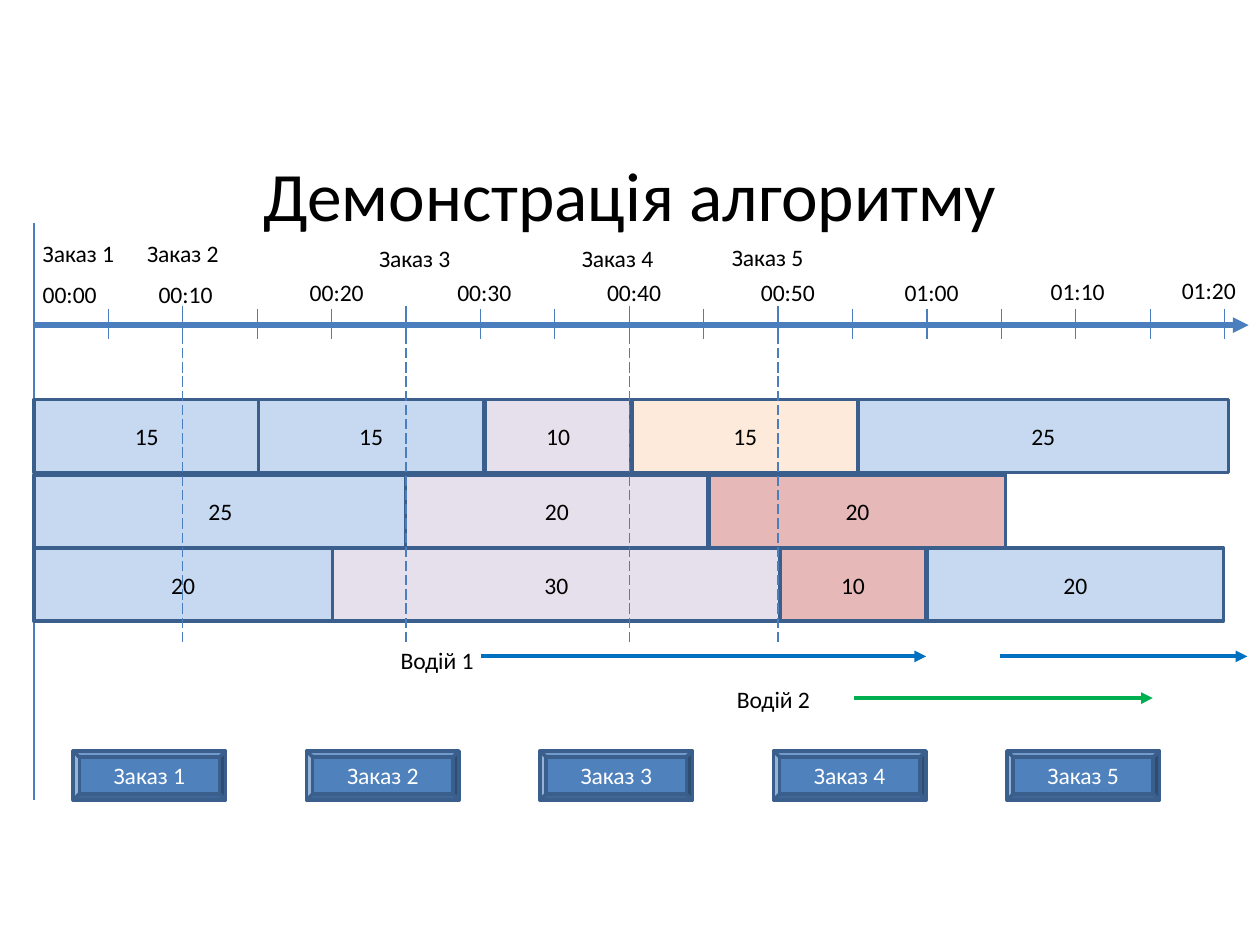
from typing import NamedTuple, Optional

from lxml import etree
from pptx import Presentation
from pptx.dml.color import RGBColor
from pptx.enum.dml import MSO_LINE
from pptx.enum.shapes import MSO_CONNECTOR, MSO_SHAPE
from pptx.enum.text import MSO_ANCHOR, MSO_AUTO_SIZE, PP_ALIGN
from pptx.oxml.ns import qn
from pptx.util import Pt

RECTANGLE, BEVEL = MSO_SHAPE.RECTANGLE, MSO_SHAPE.BEVEL
STRAIGHT, LONG_DASH = MSO_CONNECTOR.STRAIGHT, MSO_LINE.LONG_DASH
MIDDLE, CENTER = MSO_ANCHOR.MIDDLE, PP_ALIGN.CENTER
FIT_SHAPE = MSO_AUTO_SIZE.SHAPE_TO_FIT_TEXT

BLACK, WHITE = "000000", "FFFFFF"
AXIS_BLUE, OUTLINE, BUTTON_BLUE = "4B7EBC", "3A5F8C", "4F81BD"
LIGHT_BLUE, LILAC, PEACH, ROSE = "C6D9F1", "E6E0EC", "FDEADA", "E6B9B8"
DRIVER_BLUE, DRIVER_GREEN = "0070C0", "00B050"

AXIS_LEFT, AXIS_TOP = 19.4, 185.8
MINUTE = 8.505  # points along the axis per minute
TICK_STEP, LAST_TICK = 5, 80
BAR_HEIGHT = 41.8
ROW_TOPS = (228.2, 271.4, 313.2)


class Label(NamedTuple):
    text: str
    left: float
    top: float
    width: float = 62


class Bar(NamedTuple):
    row: int
    left: float
    width: float
    minutes: str
    fill: str


class Line(NamedTuple):
    x1: float
    y1: float
    x2: float
    y2: float
    color: str = AXIS_BLUE
    weight: float = 0.75
    arrow: bool = False
    dash: Optional[MSO_LINE] = None


TIME_LABELS = [
    Label("00:00", 17.3, 156.2, 54),
    Label("00:10", 83.5, 156.2, 54),
    Label("00:20", 169.9, 155.5, 54),
    Label("00:30", 254.2, 155.5, 54),
    Label("00:40", 339.8, 155.5, 54),
    Label("00:50", 427.7, 155.5, 54),
    Label("01:00", 509.8, 155.5, 54),
    Label("01:10", 593.3, 154.8, 54),
    Label("01:20", 668.2, 154.1, 54),
]
ORDER_LABELS = [
    Label("Заказ 1", 17.3, 133.2),
    Label("Заказ 2", 77, 133.2),
    Label("Заказ 3", 209.5, 136.1),
    Label("Заказ 4", 325.4, 136.1),
    Label("Заказ 5", 411.1, 135.4),
]
DRIVER_LABELS = [
    Label("Водій 1", 221.8, 365.8, 65),
    Label("Водій 2", 414, 388.1, 65),
]
BARS = [
    Bar(0, 19.4, 128.9, "15", LIGHT_BLUE),
    Bar(0, 147.6, 128.9, "15", LIGHT_BLUE),
    Bar(0, 277.2, 83.5, "10", LILAC),
    Bar(0, 361.4, 128.9, "15", PEACH),
    Bar(0, 490.3, 211.7, "25", LIGHT_BLUE),
    Bar(1, 19.4, 213.1, "25", LIGHT_BLUE),
    Bar(1, 231.8, 172.8, "20", LILAC),
    Bar(1, 405.4, 169.2, "20", ROSE),
    Bar(2, 19.4, 170.6, "20", LIGHT_BLUE),
    Bar(2, 190.1, 255.6, "30", LILAC),
    Bar(2, 445.7, 83.5, "10", ROSE),
    Bar(2, 529.9, 169.2, "20", LIGHT_BLUE),
]
ORDER_MINUTES = (10, 25, 40, 50)
DRIVER_TRIPS = [
    Line(275, 375.1, 529.2, 375.1, DRIVER_BLUE, 2.25, arrow=True),
    Line(488.2, 398.9, 658.8, 398.9, DRIVER_GREEN, 2.25, arrow=True),
    Line(571.7, 375.1, 712.8, 375.1, DRIVER_BLUE, 2.25, arrow=True),
]
BUTTON_LEFT, BUTTON_STEP, BUTTON_TOP = 41.8, 133.4, 429.1
BUTTON_WIDTH, BUTTON_HEIGHT = 87.1, 28.1


def rgb(hex_color: str) -> RGBColor:
    return RGBColor.from_string(hex_color)


def minute_x(minute: float) -> float:
    return AXIS_LEFT + minute * MINUTE


def write(frame, text: str, color: str = BLACK, size: float = 13.5) -> None:
    frame.word_wrap = True
    paragraph = frame.paragraphs[0]
    run = paragraph.add_run()
    run.text = text
    for attribute, value in {"name": "Calibri", "size": Pt(size)}.items():
        setattr(run.font, attribute, value)
    run.font.color.rgb = rgb(color)


def center(frame) -> None:
    frame.vertical_anchor = MIDDLE
    frame.paragraphs[0].alignment = CENTER


def draw_title(title, text: str) -> None:
    placement = {"left": 49.7, "top": 89.3, "width": 620.6, "height": 42.5}
    for attribute, points in placement.items():
        setattr(title, attribute, Pt(points))
    write(title.text_frame, text, size=39.6)
    center(title.text_frame)


def draw_line(shapes, line: Line) -> None:
    connector = shapes.add_connector(
        STRAIGHT, Pt(line.x1), Pt(line.y1), Pt(line.x2), Pt(line.y2))
    connector.line.color.rgb = rgb(line.color)
    connector.line.width = Pt(line.weight)
    if line.dash is not None:
        connector.line.dash_style = line.dash
    if line.arrow:
        etree.SubElement(connector.line._get_or_add_ln(), qn("a:tailEnd"), type="triangle")
    etree.SubElement(connector._element.spPr, qn("a:effectLst"))


def draw_label(shapes, label: Label) -> None:
    box = shapes.add_textbox(Pt(label.left), Pt(label.top), Pt(label.width), Pt(23.8))
    write(box.text_frame, label.text)
    box.text_frame.auto_size = FIT_SHAPE


def draw_block(shapes, kind: MSO_SHAPE, left: float, top: float, width: float,
               height: float, text: str, fill: str, color: str) -> None:
    """Draw an outlined preset shape with centred text."""
    block = shapes.add_shape(kind, Pt(left), Pt(top), Pt(width), Pt(height))
    block.shadow.inherit = False
    block.fill.solid()
    block.fill.fore_color.rgb = rgb(fill)
    block.line.color.rgb = rgb(OUTLINE)
    block.line.width = Pt(2)
    write(block.text_frame, text, color)
    center(block.text_frame)


def main() -> None:
    presentation = Presentation()
    presentation.slide_width, presentation.slide_height = Pt(720), Pt(540)
    slide = presentation.slides.add_slide(presentation.slide_layouts[5])
    shapes = slide.shapes
    draw_title(shapes.title, "Демонстрація алгоритму")

    draw_line(shapes, Line(AXIS_LEFT, AXIS_TOP, 713.5, AXIS_TOP, weight=3, arrow=True))
    draw_line(shapes, Line(AXIS_LEFT, 127.4, AXIS_LEFT, 457.2))
    for minute in range(TICK_STEP, LAST_TICK + 1, TICK_STEP):
        x = minute_x(minute)
        draw_line(shapes, Line(x, 176.4, x, 193.9))

    for bar in BARS:
        draw_block(shapes, RECTANGLE, bar.left, ROW_TOPS[bar.row], bar.width,
                   BAR_HEIGHT, bar.minutes, bar.fill, BLACK)
    for minute in ORDER_MINUTES:
        x = minute_x(minute)
        draw_line(shapes, Line(x, 174.6, x, 367, dash=LONG_DASH))
    for trip in DRIVER_TRIPS:
        draw_line(shapes, trip)
    for label in TIME_LABELS + ORDER_LABELS + DRIVER_LABELS:
        draw_label(shapes, label)
    for index, order in enumerate(ORDER_LABELS):
        draw_block(shapes, BEVEL, BUTTON_LEFT + index * BUTTON_STEP, BUTTON_TOP,
                   BUTTON_WIDTH, BUTTON_HEIGHT, order.text, BUTTON_BLUE, WHITE)

    presentation.save("out.pptx")


if __name__ == "__main__":
    main()
